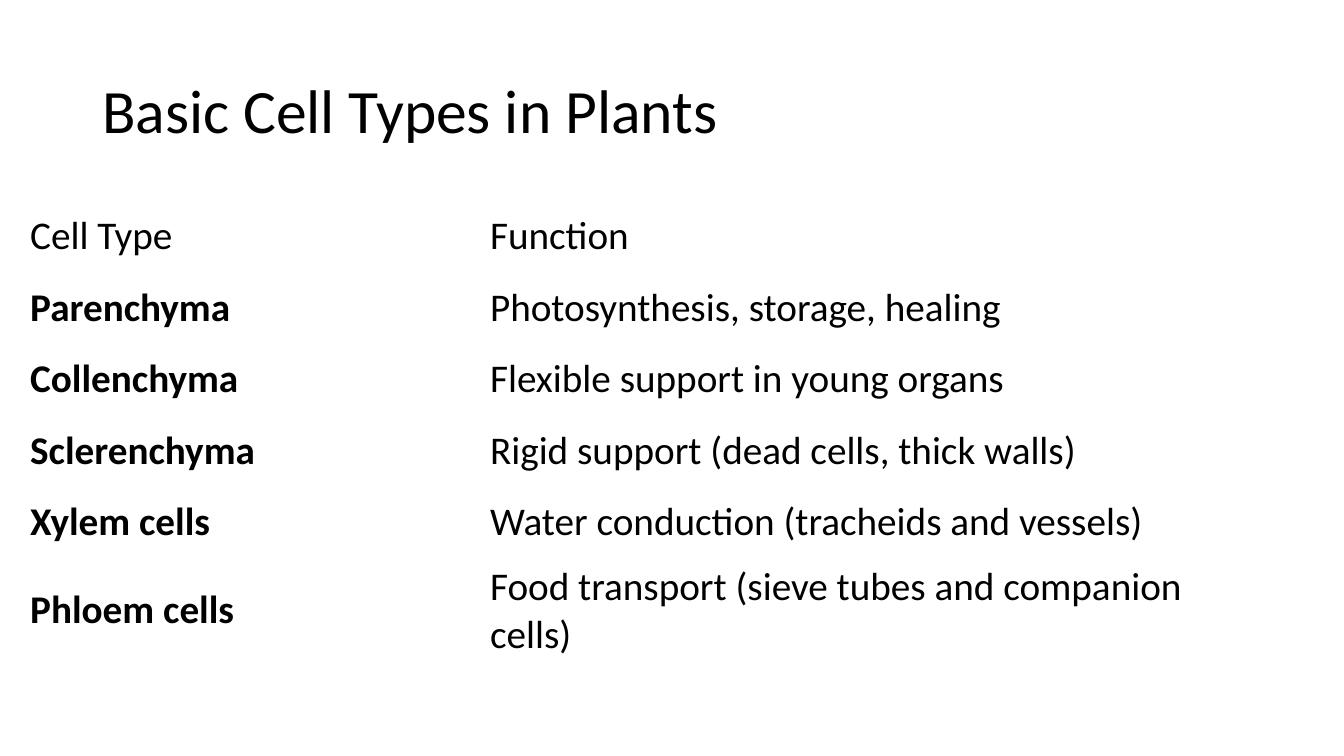
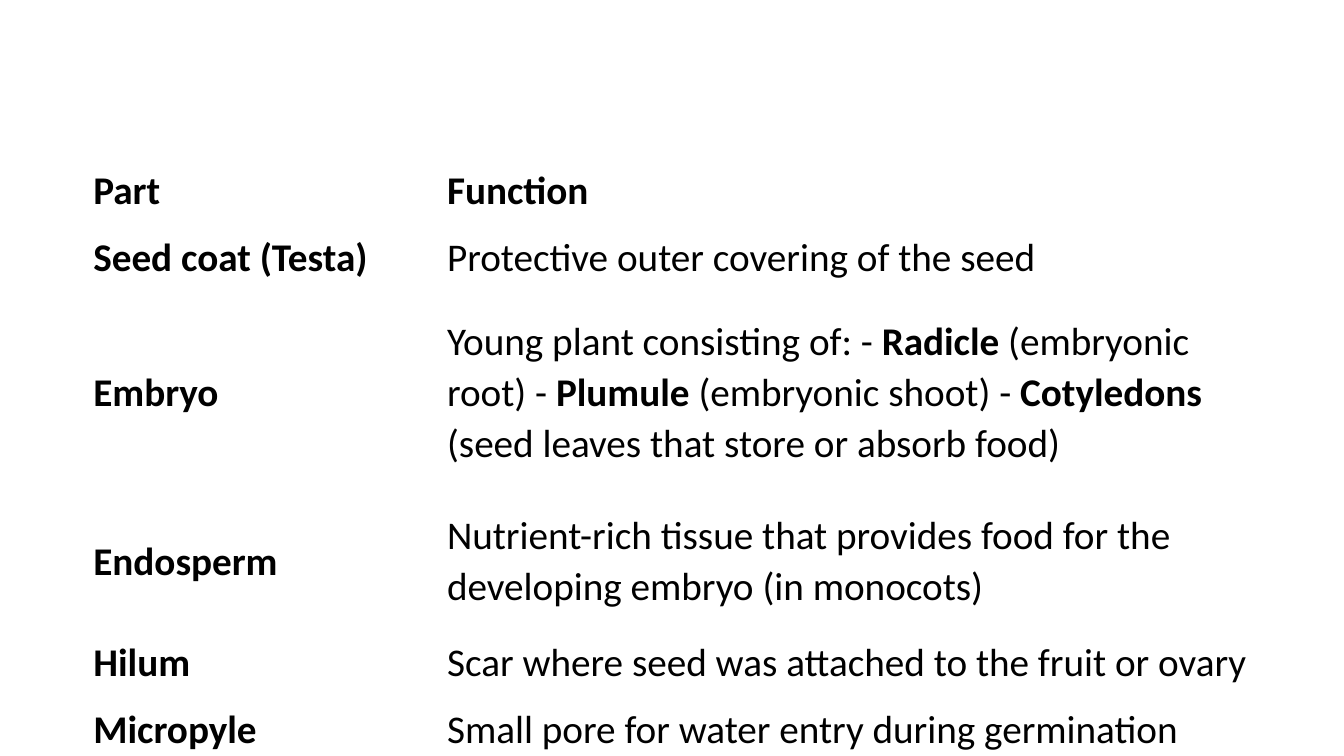
from dataclasses import dataclass
from typing import Optional

from pptx import Presentation
from pptx.dml.color import RGBColor
from pptx.enum import text
from pptx.util import Pt


@dataclass(frozen=True)
class Theme:
    font: str = "Calibri"
    ink: RGBColor = RGBColor(0, 0, 0)
    title_size: float = 44
    body_size: float = 28
    title_spacing: float = 0.9


@dataclass(frozen=True)
class CellStyle:
    """Margins in points (None keeps the usual ones) and paragraph spacing."""
    margin: Optional[float] = None
    line_spacing: Optional[float] = None
    space_after: float = 0


THEME = Theme()
PLAIN = CellStyle()
TIGHT = CellStyle(margin=0.7, line_spacing=1.07, space_after=8)

CELL_TYPES = [
    ("Cell Type", "Function"),
    ("**Parenchyma**", "Photosynthesis, storage, healing"),
    ("**Collenchyma**", "Flexible support in young organs"),
    ("**Sclerenchyma**", "Rigid support (dead cells, thick walls)"),
    ("**Xylem cells**", "Water conduction (tracheids and vessels)"),
    ("**Phloem cells**", "Food transport (sieve tubes and companion cells)"),
]

SEED_PARTS = [
    ("**Part**", "**Function**"),
    ("**Seed coat (Testa)**", "Protective outer covering of the seed"),
    ("**Embryo**",
     "Young plant consisting of: - **Radicle** (embryonic root) - "
     "**Plumule** (embryonic shoot) - **Cotyledons** "
     "(seed leaves that store or absorb food)"),
    ("**Endosperm**",
     "Nutrient-rich tissue that provides food for the developing embryo "
     "(in monocots)"),
    ("**Hilum**", "Scar where seed was attached to the fruit or ovary"),
    ("**Micropyle**", "Small pore for water entry during germination"),
]


def add_runs(p, marked, size):
    """Add text run by run; parts between double asterisks are bold."""
    for i, part in enumerate(marked.split("**")):
        if part:
            r = p.add_run()
            r.text = part
            r.font.name = THEME.font
            r.font.size = Pt(size)
            r.font.color.rgb = THEME.ink
            r.font.bold = i % 2 == 1


def add_title(s, box, title):
    tf = s.shapes.add_textbox(*map(Pt, box)).text_frame
    tf.word_wrap = True
    tf.vertical_anchor = text.MSO_ANCHOR.MIDDLE
    p = tf.paragraphs[0]
    p.line_spacing = THEME.title_spacing
    add_runs(p, title, THEME.title_size)


def fill_cell(cell, marked, style):
    cell.fill.background()
    cell.vertical_anchor = text.MSO_ANCHOR.MIDDLE
    if style.margin is not None:
        cell.margin_left = cell.margin_right = Pt(style.margin)
        cell.margin_top = cell.margin_bottom = Pt(style.margin)
    p = cell.text_frame.paragraphs[0]
    if style.line_spacing:
        p.line_spacing = style.line_spacing
    p.space_after = Pt(style.space_after)
    add_runs(p, marked, THEME.body_size)


def add_text_table(s, left, top, col_widths, row_heights, rows, style):
    frame = s.shapes.add_table(len(rows), len(col_widths), Pt(left), Pt(top),
                               Pt(sum(col_widths)), Pt(sum(row_heights)))
    table = frame.table
    table.first_row = table.horz_banding = False
    for col, width in zip(table.columns, col_widths):
        col.width = Pt(width)
    for row, height, texts in zip(table.rows, row_heights, rows):
        row.height = Pt(height)
        for cell, marked in zip(row.cells, texts):
            fill_cell(cell, marked, style)


def cell_types_slide(s):
    add_title(s, (66, 28.75, 828, 104.4), "Basic Cell Types in Plants")
    add_text_table(s, 14.4, 143.3, (328.5, 551), [51.1] * len(CELL_TYPES),
                   CELL_TYPES, PLAIN)


def seed_parts_slide(s):
    line_height = 48.2
    heights = [line_height * lines for lines in (1, 1, 3, 2, 1, 1)]
    add_text_table(s, 66, 111, (252.7, 575.3), heights, SEED_PARTS, TIGHT)


def main():
    prs = Presentation()
    prs.slide_width, prs.slide_height = Pt(960), Pt(540)
    blank = prs.slide_layouts[6]
    for build in (cell_types_slide, seed_parts_slide):
        build(prs.slides.add_slide(blank))
    prs.save("out.pptx")


if __name__ == "__main__":
    main()
